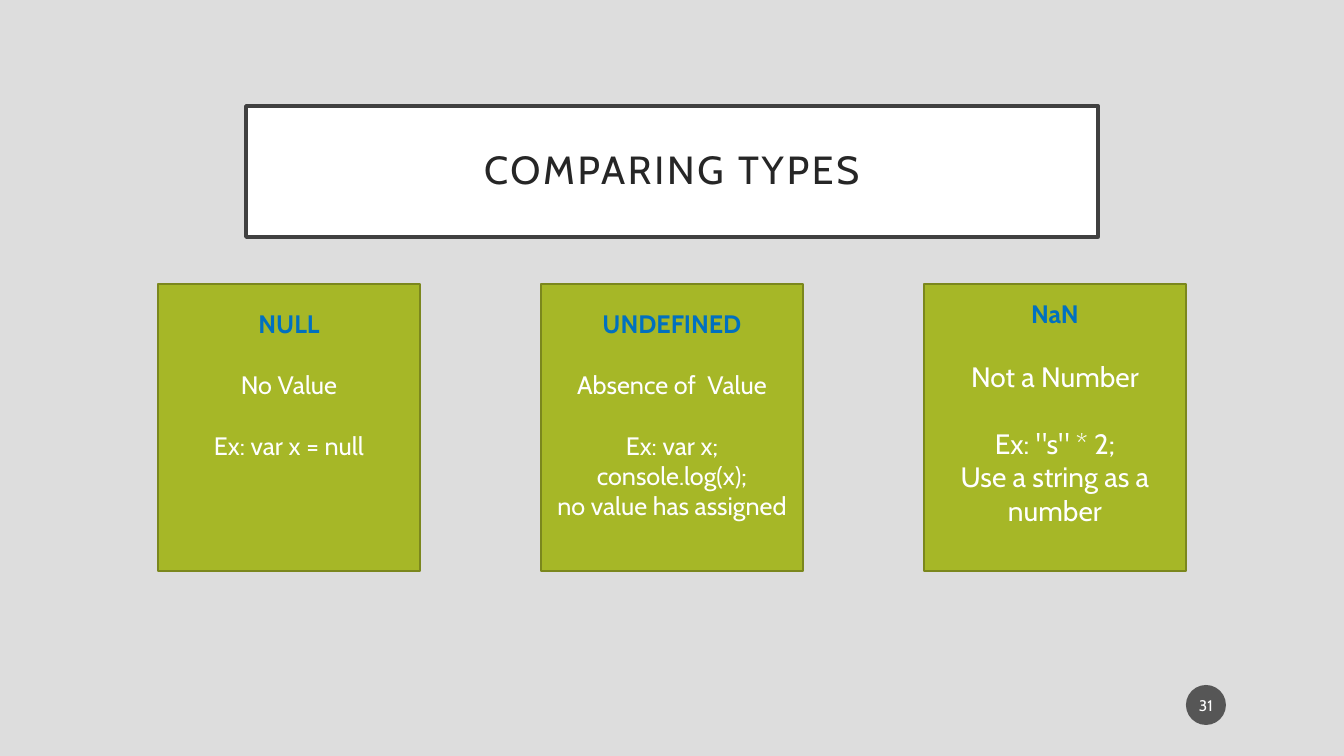
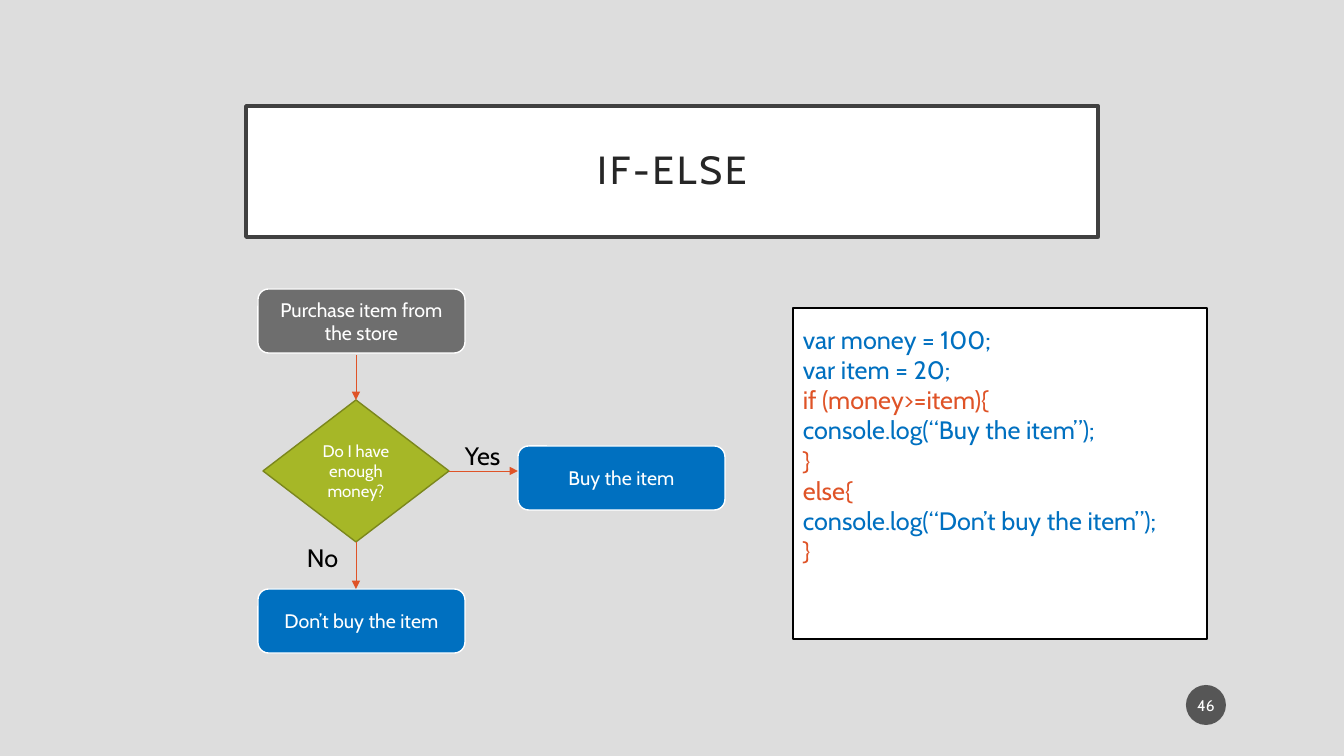
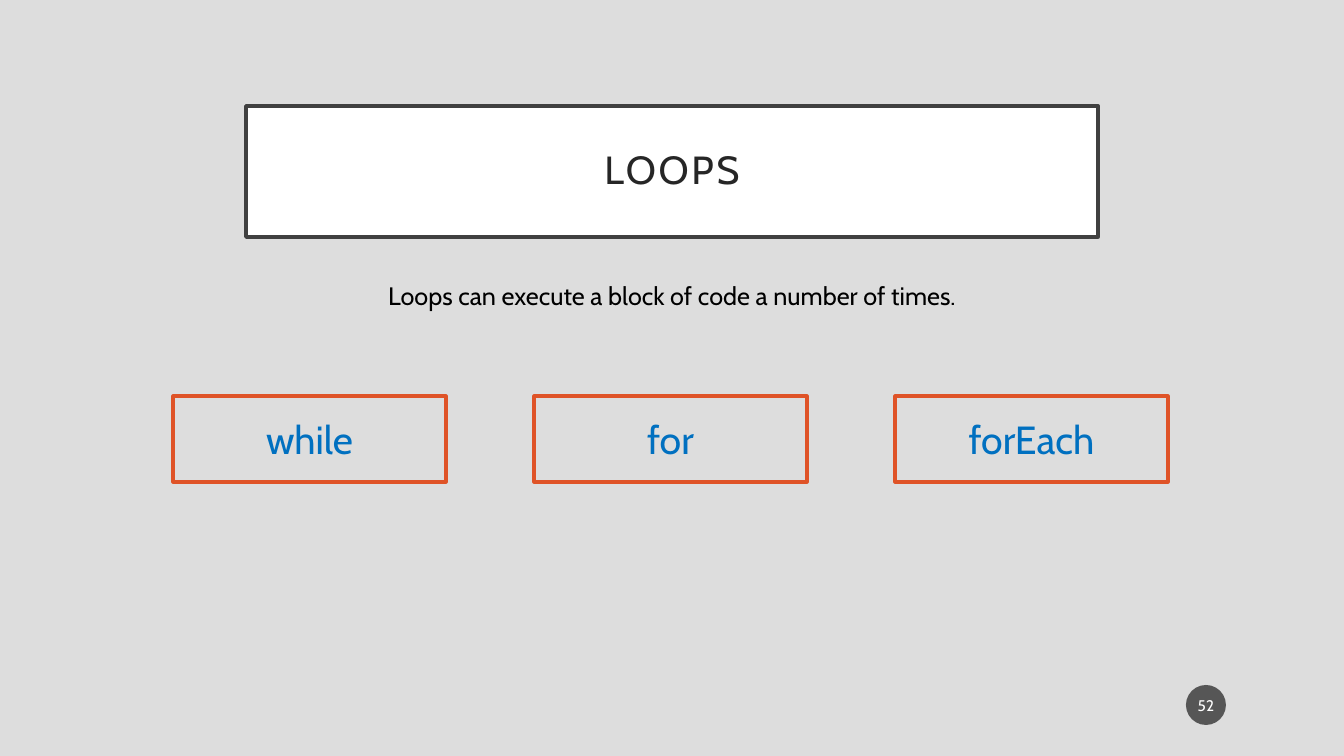
"""Build three slides on comparing types, if-else and loops."""
import dataclasses

import lxml.etree
import pptx
import pptx.dml.color
import pptx.enum.shapes
import pptx.enum.text
import pptx.oxml.ns
import pptx.util

SHAPE = pptx.enum.shapes.MSO_SHAPE
ALIGN = pptx.enum.text.PP_ALIGN
ANCHOR = pptx.enum.text.MSO_ANCHOR
EMU_PER_PX = 914400 / 100.8
TITLE_ONLY, TITLE_AND_BODY = 5, 1
TOP, RIGHT, BOTTOM = 0, 3, 2


@dataclasses.dataclass(frozen=True)
class Theme:
    font: str = "Cabin"
    background: str = "DDDDDD"
    white: str = "FFFFFF"
    black: str = "000000"
    frame: str = "404040"
    title: str = "262626"
    badge: str = "1D1D1D"
    green: str = "A6B727"
    olive: str = "7B871D"
    blue: str = "0070C0"
    orange: str = "DF5327"
    grey: str = "6E6E6E"
    heading_size: int = 28
    large_size: int = 20
    body_size: int = 18
    step_size: int = 14
    decision_size: int = 12
    badge_size: int = 11


THEME = Theme()

TITLE_BOX = (246, 106, 852, 131)
BADGE_BOX = (1186, 685, 40, 40)

TYPE_CARDS = [
    ("NULL", ["No Value", "Ex: var x = null"], THEME.body_size, 24),
    ("UNDEFINED",
     ["Absence of  Value", "Ex: var x;", "console.log(x);", "no value has assigned"],
     THEME.body_size, 24),
    ("NaN", ["Not a Number", 'Ex: "s" * 2;', "Use a string as a number"],
     THEME.large_size, 14),
]
CARD_BOX, CARD_STEP = (158, 284, 262, 287), 383

STEPS = [
    ("Purchase item from the store", 258, 289, THEME.grey),
    ("Buy the item", 518, 446, THEME.blue),
    ("Don’t buy the item", 258, 589, THEME.blue),
]
STEP_SIZE = (207, 64)
DECISION, DECISION_BOX = "Do I have enough money?", (263, 400, 186, 142)
BRANCH_LABELS = [("Yes", (455, 435, 84, 40)), ("No", (297, 537, 84, 40))]
CODE_BOX = (793, 308, 414, 331)
CODE = [
    ("var money = 100;", THEME.blue),
    ("var item = 20;", THEME.blue),
    ("if (money>=item){", THEME.orange),
    ("console.log(“Buy the item”);", THEME.blue),
    ("}", THEME.orange),
    ("else{", THEME.orange),
    ("console.log(“Don’t buy the item”);", THEME.blue),
    ("}", THEME.orange),
]

LOOPS_INTRO, INTRO_BOX = "Loops can execute a block of code a number of times.", (260, 275, 824, 222)
LOOPS = ["while", "for", "forEach"]
LOOP_BOX, LOOP_STEP = (173, 396, 273, 86), 361


def px(*lengths):
    return [pptx.util.Emu(round(length * EMU_PER_PX)) for length in lengths]


def rgb(color):
    return pptx.dml.color.RGBColor.from_string(color)


def add_xml(parent, tag, **attributes):
    return lxml.etree.SubElement(parent, pptx.oxml.ns.qn(tag), attributes)


def place(shape, box):
    shape.left, shape.top, shape.width, shape.height = px(*box)


def paint(shape, fill=None, line=None, width=1):
    if fill:
        shape.fill.solid()
        shape.fill.fore_color.rgb = rgb(fill)
    else:
        shape.fill.background()
    if line:
        shape.line.color.rgb = rgb(line)
        shape.line.width = pptx.util.Pt(width)
    else:
        shape.line.fill.background()


def style(paragraph, size, color, align=ALIGN.CENTER, bold=False):
    paragraph.alignment = align
    for run in paragraph.runs:
        run.font.name = THEME.font
        run.font.size = pptx.util.Pt(size)
        run.font.bold = bold
        run.font.color.rgb = rgb(color)


def add_box(slide, kind, box, text, size, color, fill=None, line=None, width=1):
    shape = slide.shapes.add_shape(kind, *px(*box))
    shape.shadow.inherit = False
    paint(shape, fill, line, width)
    frame = shape.text_frame
    frame.word_wrap = True
    frame.vertical_anchor = ANCHOR.MIDDLE
    frame.text = text
    for paragraph in frame.paragraphs:
        style(paragraph, size, color)
    return shape


def align_top(shape, inset):
    shape.text_frame.vertical_anchor = ANCHOR.TOP
    shape.text_frame.margin_top, = px(inset)


def across(box, step, index):
    left, top, width, height = box
    return left + step * index, top, width, height


def add_slide(prs, layout, title_text, number):
    slide = prs.slides.add_slide(prs.slide_layouts[layout])
    title = slide.shapes.title
    place(title, TITLE_BOX)
    paint(title, THEME.white, THEME.frame, 2.5)
    frame = title.text_frame
    frame.text = title_text
    frame.word_wrap = True
    frame.auto_size = pptx.enum.text.MSO_AUTO_SIZE.NONE
    frame.vertical_anchor = ANCHOR.MIDDLE
    frame.margin_left, frame.margin_right, frame.margin_top, frame.margin_bottom = px(20, 20, 20, 20)
    heading = frame.paragraphs[0]
    heading.line_spacing = 0.9
    style(heading, THEME.heading_size, THEME.title)
    heading.runs[0]._r.get_or_add_rPr().set("spc", "200")

    badge = add_box(slide, SHAPE.OVAL, BADGE_BOX, str(number),
                    THEME.badge_size, THEME.white, THEME.badge)
    badge.text_frame.margin_left, badge.text_frame.margin_right = px(2, 2)
    badge_color = badge._element.spPr.find(".//" + pptx.oxml.ns.qn("a:srgbClr"))
    add_xml(badge_color, "a:alpha", val="70000")
    return slide


def add_arrow(slide, start, end):
    arrow = slide.shapes.add_connector(
        pptx.enum.shapes.MSO_CONNECTOR.STRAIGHT, *px(*start, *end))
    arrow.line.color.rgb = rgb(THEME.orange)
    arrow.line.width = pptx.util.Pt(0.5)
    add_xml(arrow.line._get_or_add_ln(), "a:tailEnd", type="triangle")
    add_xml(arrow._element.spPr, "a:effectLst")
    return arrow


def build_types(prs):
    slide = add_slide(prs, TITLE_ONLY, "COMPARING TYPES", 31)
    for index, (heading, lines, size, inset) in enumerate(TYPE_CARDS):
        card = add_box(slide, SHAPE.RECTANGLE, across(CARD_BOX, CARD_STEP, index),
                       "\n".join([heading, *lines]), size, THEME.white,
                       THEME.green, THEME.olive)
        align_top(card, inset)
        name, meaning, example = card.text_frame.paragraphs[:3]
        style(name, THEME.body_size, THEME.blue, bold=True)
        meaning.space_before = pptx.util.Pt(22)
        example.space_before = pptx.util.Pt(round(size * 1.2))


def build_if_else(prs):
    slide = add_slide(prs, TITLE_ONLY, "IF-ELSE", 46)
    code = add_box(slide, SHAPE.RECTANGLE, CODE_BOX, "\n".join(line for line, _ in CODE),
                   THEME.body_size, THEME.blue, THEME.white, THEME.black)
    align_top(code, 16)
    for paragraph, (_, color) in zip(code.text_frame.paragraphs, CODE):
        style(paragraph, THEME.body_size, color, ALIGN.LEFT)

    for text, left, top, fill in STEPS:
        add_box(slide, SHAPE.ROUNDED_RECTANGLE, (left, top, *STEP_SIZE), text,
                THEME.step_size, THEME.white, fill, THEME.white)
    decision = add_box(slide, SHAPE.DIAMOND, DECISION_BOX, DECISION,
                       THEME.decision_size, THEME.white, THEME.green, THEME.olive)

    left, top, width, height = DECISION_BOX
    middle_x, middle_y = left + width // 2, top + height // 2
    buy_left, skip_top = STEPS[1][1], STEPS[2][2]
    question = add_arrow(slide, (middle_x, 355), (middle_x, top))
    question.end_connect(decision, TOP)
    yes = add_arrow(slide, (left + width, middle_y), (buy_left, middle_y))
    yes.begin_connect(decision, RIGHT)
    no = add_arrow(slide, (middle_x, top + height), (middle_x, skip_top))
    no.begin_connect(decision, BOTTOM)

    for text, box in BRANCH_LABELS:
        label = slide.shapes.add_textbox(*px(*box)).text_frame
        label.word_wrap = True
        label.text = text
        style(label.paragraphs[0], THEME.body_size, THEME.black, ALIGN.LEFT)


def build_loops(prs):
    slide = add_slide(prs, TITLE_AND_BODY, "LOOPS", 52)
    body = slide.placeholders[1]
    place(body, INTRO_BOX)
    body.text_frame.text = LOOPS_INTRO
    body.text_frame.auto_size = pptx.enum.text.MSO_AUTO_SIZE.NONE
    intro = body.text_frame.paragraphs[0]
    style(intro, THEME.body_size, THEME.black)
    intro.space_before = pptx.util.Pt(10)
    properties = intro._p.get_or_add_pPr()
    properties.set("marL", "0")
    properties.set("indent", "0")
    add_xml(properties, "a:buNone")

    for index, keyword in enumerate(LOOPS):
        add_box(slide, SHAPE.RECTANGLE, across(LOOP_BOX, LOOP_STEP, index), keyword,
                THEME.heading_size, THEME.blue, line=THEME.orange, width=2.25)


def main():
    prs = pptx.Presentation()
    prs.slide_width, prs.slide_height = px(1344, 756)
    background = prs.slide_master.background.fill
    background.solid()
    background.fore_color.rgb = rgb(THEME.background)
    build_types(prs)
    build_if_else(prs)
    build_loops(prs)
    prs.save("out.pptx")


if __name__ == "__main__":
    main()
